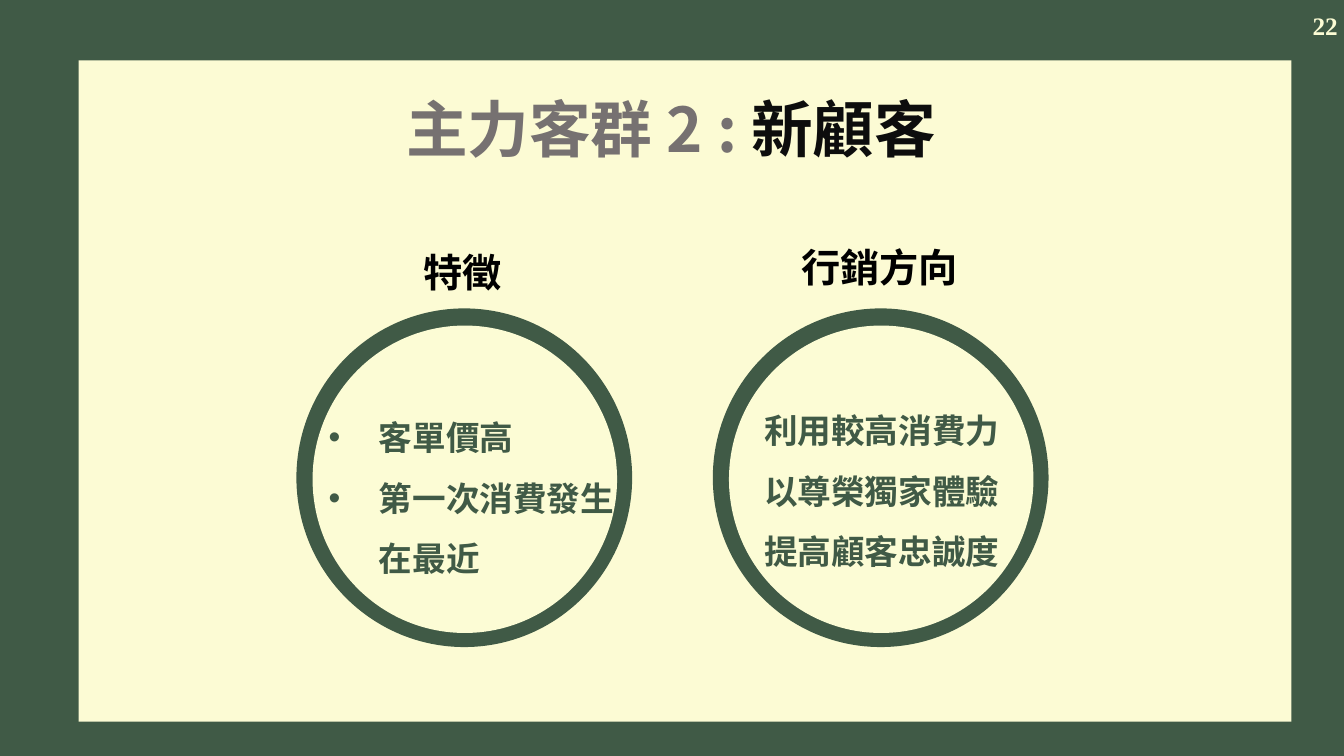
from pptx import Presentation
from pptx.dml.color import RGBColor
from pptx.enum.shapes import MSO_SHAPE as SHAPE
from pptx.enum.text import MSO_AUTO_SIZE as AUTO, PP_ALIGN as ALIGN
from pptx.oxml.ns import qn
from pptx.util import Inches, Pt
from lxml import etree

GREEN, CREAM, PALE = "405A46", "FCFBD4", "FCFCD5"
SANS = "Noto Sans CJK TC"

prs = Presentation()
prs.slide_width, prs.slide_height = Inches(13.33), Inches(7.5)
s = prs.slides.add_slide(prs.slide_layouts[6])
s.background.fill.solid()
s.background.fill.fore_color.rgb = RGBColor.from_string(GREEN)


def add_block(kind, box, color):
    sp = s.shapes.add_shape(kind, *[Inches(v) for v in box])
    sp.shadow.inherit = False
    sp.fill.solid()
    sp.fill.fore_color.rgb = RGBColor.from_string(color)
    sp.line.fill.background()


def add_text(box, paragraphs, size, font=SANS, align=ALIGN.LEFT, spacing=None, bullet=False, wrap=True):
    tf = s.shapes.add_textbox(*[Inches(v) for v in box]).text_frame
    tf.word_wrap = wrap
    tf.auto_size = AUTO.SHAPE_TO_FIT_TEXT
    for i, runs in enumerate(paragraphs):
        p = tf.paragraphs[0] if i == 0 else tf.add_paragraph()
        p.alignment = align
        if spacing:
            p.line_spacing = spacing
        if bullet:
            pPr = p._p.get_or_add_pPr()
            pPr.set("marL", str(Inches(0.5)))
            pPr.set("indent", str(Inches(-0.5)))
            etree.SubElement(pPr, qn("a:buFont")).set("typeface", "Arial")
            etree.SubElement(pPr, qn("a:buChar")).set("char", "•")
        for text, color in runs:
            r = p.add_run()
            r.text = text
            r.font.size = Pt(size)
            r.font.bold = True
            r.font.color.rgb = RGBColor.from_string(color)
            r.font.name = font
            etree.SubElement(r._r.get_or_add_rPr(), qn("a:ea")).set("typeface", font)


add_block(SHAPE.RECTANGLE, (0.78, 0.6, 12.03, 6.56), CREAM)
add_text((3.93, 0.85, 5.47, 0.84), [[("主力客群 2 : ", "767171"), ("新顧客", "0D0D0D")]], 44)

circles = [
    (2.94, "特徵", (4.1, 2.41, 1.01, 0.57),
     ["客單價高", "第一次消費發生在最近"], (3.16, 3.89, 3.08, 1.84), ALIGN.LEFT, True),
    (7.07, "行銷方向", (7.85, 2.36, 1.77, 0.57),
     ["利用較高消費力", "以尊榮獨家體驗", "提高顧客忠誠度"], (7.31, 3.82, 2.87, 1.84), ALIGN.CENTER, False),
]
for left, heading, heading_box, lines, lines_box, align, bullet in circles:
    add_block(SHAPE.OVAL, (left, 3.06, 3.33, 3.36), GREEN)
    add_block(SHAPE.OVAL, (left + 0.16, 3.23, 3.02, 3.05), PALE)
    add_text(lines_box, [[(line, GREEN)] for line in lines], 24,
             align=align, spacing=1.5, bullet=bullet)
    add_text(heading_box, [[(heading, "000000")]], 28)

add_text((12.92, 0.05, 0.45, 0.4), [[("22", PALE)]], 18, font="Times New Roman", wrap=False)

prs.save("out.pptx")
